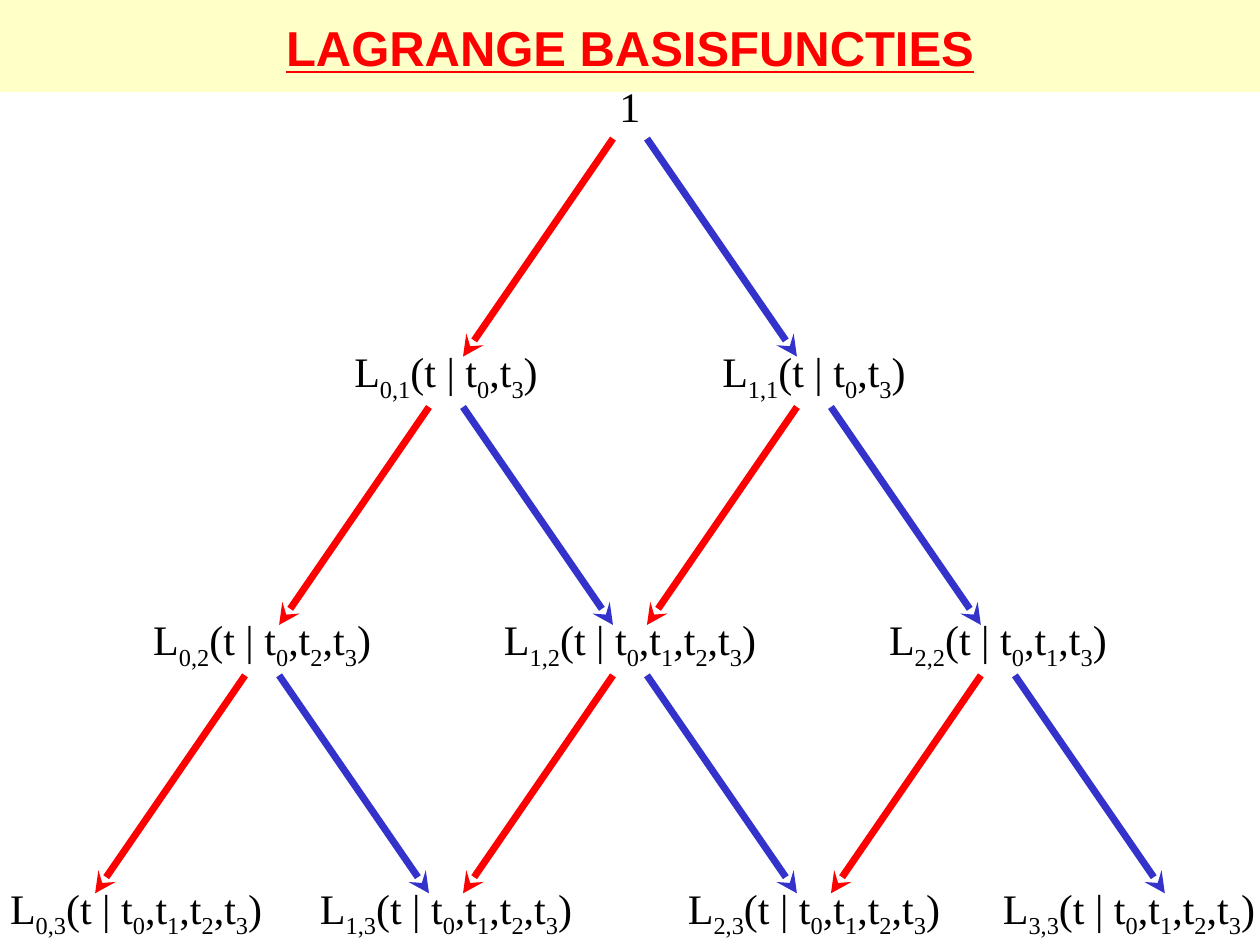
from dataclasses import dataclass

from lxml import etree
from pptx import Presentation
from pptx import util as u
from pptx.dml.color import RGBColor
from pptx.enum import shapes, text
from pptx.oxml import ns


@dataclass(frozen=True)
class Theme:
    band: RGBColor = RGBColor(0xFF, 0xFF, 0xC8)
    red: RGBColor = RGBColor(0xFF, 0x00, 0x00)
    blue: RGBColor = RGBColor(0x33, 0x33, 0xCC)
    ink: RGBColor = RGBColor(0x00, 0x00, 0x00)
    title_font: str = "Arial"
    body_font: str = "Times New Roman"
    title_size: int = 28
    body_size: int = 24
    arrow_width: int = 4


theme = Theme()


def add_span(para, content, font=theme.body_font, size=theme.body_size,
             color=theme.ink, bold=False, underline=False, subscript=False):
    span = para.add_run()
    span.text = content
    span.font.name = font
    span.font.size = u.Pt(size)
    span.font.color.rgb = color
    span.font.bold = bold
    span.font.underline = underline
    if subscript:
        span.font._element.set("baseline", "-25000")


deck = Presentation()
deck.slide_width = u.Inches(10)
deck.slide_height = u.Inches(7.5)
page = deck.slides.add_slide(deck.slide_layouts[5])

band = page.shapes.add_shape(
    shapes.MSO_SHAPE.RECTANGLE, 0, 0, u.Inches(10), u.Inches(0.73))
band.shadow.inherit = False
band.fill.solid()
band.fill.fore_color.rgb = theme.band
band.line.fill.background()

title = page.shapes.title
title._element.addprevious(band._element)
title.left, title.top = 0, 0
title.width, title.height = u.Inches(10), u.Inches(0.75)
title.text_frame.vertical_anchor = text.MSO_ANCHOR.MIDDLE
title_para = title.text_frame.paragraphs[0]
title_para.alignment = text.PP_ALIGN.CENTER
add_span(title_para, "LAGRANGE BASISFUNCTIES", font=theme.title_font,
         size=theme.title_size, color=theme.red, bold=True, underline=True)

knot_rows = [
    [""],
    ["03", "03"],
    ["023", "0123", "013"],
    ["0123", "0123", "0123", "0123"],
]
box_widths = {0: 0.37, 2: 1.72, 3: 2.01, 4: 2.29}
label_shifts = {(3, 0): 0.46, (3, 3): -0.42}
middle = 5
column_step = 2.92
row_top = 0.59
row_step = 2.13
box_height = 0.5
arrow_offset = 0.135
arrow_start = 0.51
arrow_end = 0.11

for level, row in enumerate(knot_rows):
    top = row_top + level * row_step
    for index, knots in enumerate(row):
        center = middle + (index - level / 2) * column_step
        width = box_widths[len(knots)]
        left = center + label_shifts.get((level, index), 0) - width / 2
        box = page.shapes.add_textbox(
            u.Inches(left), u.Inches(top), u.Inches(width), u.Inches(box_height))
        frame = box.text_frame
        frame.word_wrap = False
        frame.auto_size = text.MSO_AUTO_SIZE.SHAPE_TO_FIT_TEXT
        frame.vertical_anchor = text.MSO_ANCHOR.MIDDLE
        para = frame.paragraphs[0]
        para.alignment = text.PP_ALIGN.CENTER
        if knots:
            add_span(para, "L")
            add_span(para, f"{index},{level}", subscript=True)
            for position, knot in enumerate(knots):
                add_span(para, ",t" if position else "(t | t")
                add_span(para, knot, subscript=True)
            add_span(para, ")")
        else:
            add_span(para, "1")

        if level == len(knot_rows) - 1:
            continue
        for side, color in ((-1, theme.red), (1, theme.blue)):
            start_x = center + side * arrow_offset
            end_x = center + side * (column_step / 2 - arrow_offset)
            arrow = page.shapes.add_connector(
                shapes.MSO_CONNECTOR.STRAIGHT,
                u.Inches(start_x), u.Inches(top + arrow_start),
                u.Inches(end_x), u.Inches(top + row_step + arrow_end))
            arrow.line.color.rgb = color
            arrow.line.width = u.Pt(theme.arrow_width)
            etree.SubElement(arrow.line._get_or_add_ln(), ns.qn("a:tailEnd"),
                             type="stealth")
            etree.SubElement(arrow._element.spPr, ns.qn("a:effectLst"))

deck.save("out.pptx")
